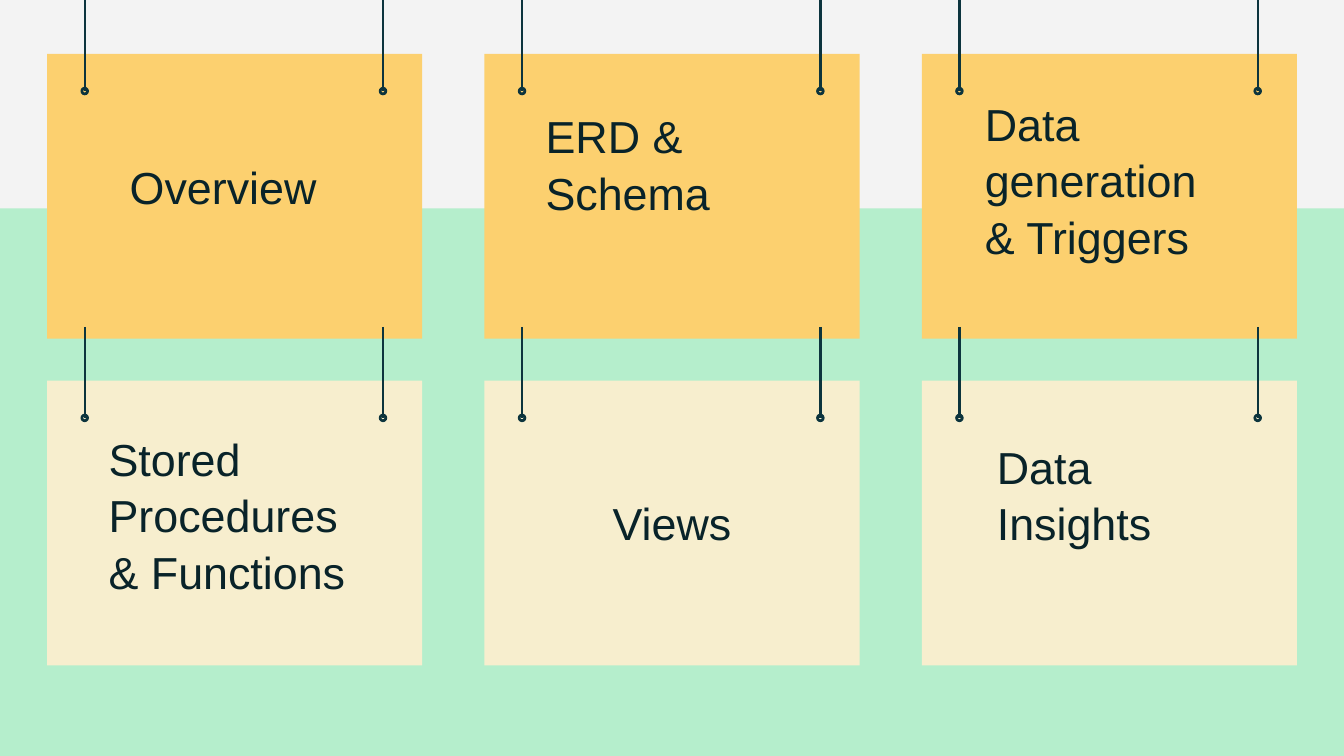
from lxml.etree import SubElement
from pptx import Presentation
from pptx.dml.color import RGBColor
from pptx.enum.shapes import MSO_CONNECTOR, MSO_SHAPE
from pptx.enum.text import MSO_ANCHOR, PP_ALIGN
from pptx.oxml.ns import qn
from pptx.util import Pt

GREY = RGBColor(0xF3, 0xF3, 0xF3)
MINT = RGBColor(0xB5, 0xEE, 0xCC)
AMBER = RGBColor(0xFC, 0xD0, 0x6F)
CREAM = RGBColor(0xF7, 0xEE, 0xCE)
TEAL = RGBColor(0x0C, 0x34, 0x3D)
INK = RGBColor(0x09, 0x23, 0x29)

CARD_WIDTH, CARD_HEIGHT = 201, 152.6
CARD_LEFT, CARD_TOP = 25.2, 28.8
COLUMN_STEP, ROW_STEP = 234.3, 175.1
ROD_OFFSETS = (20.2, 180)
ROD_LENGTH = 48.8
RING_SIZE = 3.8

FRAME_FORMAT = {
    "word_wrap": True,
    "vertical_anchor": MSO_ANCHOR.BOTTOM,
    "margin_left": Pt(7.2),
    "margin_right": Pt(7.2),
    "margin_top": Pt(7.2),
    "margin_bottom": Pt(7.2),
}
FONT_FORMAT = {"name": "Arial", "size": Pt(24), "bold": False}

# text, alignment, left, top, width, height
LABELS = [
    ("Overview", PP_ALIGN.CENTER, 51.1, 82.1, 136.8, 39.6),
    ("ERD & Schema", PP_ALIGN.LEFT, 285.2, 79.2, 149.7, 45.4),
    ("Data generation & Triggers", PP_ALIGN.LEFT, 520.5, 55.4, 149.7, 92.9),
    ("Stored Procedures & Functions", PP_ALIGN.LEFT, 51.1, 231.1, 149.7, 96.5),
    ("Views", PP_ALIGN.CENTER, 291.6, 256.3, 136.8, 45.4),
    ("Data Insights", PP_ALIGN.LEFT, 527, 256.3, 136.8, 45.4),
]


def add_filled(shapes, kind, left, top, width, height, color):
    shape = shapes.add_shape(kind, Pt(left), Pt(top), Pt(width), Pt(height))
    shape.shadow.inherit = False
    shape.fill.solid()
    shape.fill.fore_color.rgb = color
    shape.line.fill.background()
    return shape


deck = Presentation()
deck.slide_width, deck.slide_height = Pt(720), Pt(405)
page = deck.slides.add_slide(deck.slide_layouts[5])
page.background.fill.solid()
page.background.fill.fore_color.rgb = GREY

add_filled(page.shapes, MSO_SHAPE.RECTANGLE, 0, 111.6, 720, 293.4, MINT)

# Cards hanging from pairs of rods
for row, card_color in enumerate((AMBER, CREAM)):
    for column in range(3):
        left = CARD_LEFT + column * COLUMN_STEP
        top = CARD_TOP + row * ROW_STEP
        rod_top = top - CARD_TOP
        rod_bottom = rod_top + ROD_LENGTH
        parts = page.shapes.add_group_shape().shapes
        add_filled(parts, MSO_SHAPE.RECTANGLE, left, top,
                   CARD_WIDTH, CARD_HEIGHT, card_color)
        for offset in ROD_OFFSETS:
            x = left + offset
            ring = add_filled(parts, MSO_SHAPE.DONUT, x - RING_SIZE / 2,
                              rod_bottom - RING_SIZE / 2, RING_SIZE, RING_SIZE, TEAL)
            ring.adjustments[0] = 0.2
            ring.line.color.rgb = TEAL
            ring.line.width = Pt(0.75)
            rod = parts.add_connector(MSO_CONNECTOR.STRAIGHT,
                                      Pt(x), Pt(rod_top), Pt(x), Pt(rod_bottom))
            rod.line.color.rgb = TEAL
            rod.line.width = Pt(1.25)
            SubElement(rod._element.spPr, qn("a:effectLst"))

# The first label is the slide title, brought in front of the cards
title = page.shapes.title
title.element.getparent().append(title.element)
for index, (text, alignment, *bounds) in enumerate(LABELS):
    left, top, width, height = [Pt(value) for value in bounds]
    if index == 0:
        box = title
        box.left, box.top, box.width, box.height = left, top, width, height
    else:
        box = page.shapes.add_textbox(left, top, width, height)
    for name, value in FRAME_FORMAT.items():
        setattr(box.text_frame, name, value)
    para = box.text_frame.paragraphs[0]
    para.alignment = alignment
    para.line_spacing = 1.05
    span = para.add_run()
    span.text = text
    for name, value in FONT_FORMAT.items():
        setattr(span.font, name, value)
    span.font.color.rgb = INK

deck.save("out.pptx")
